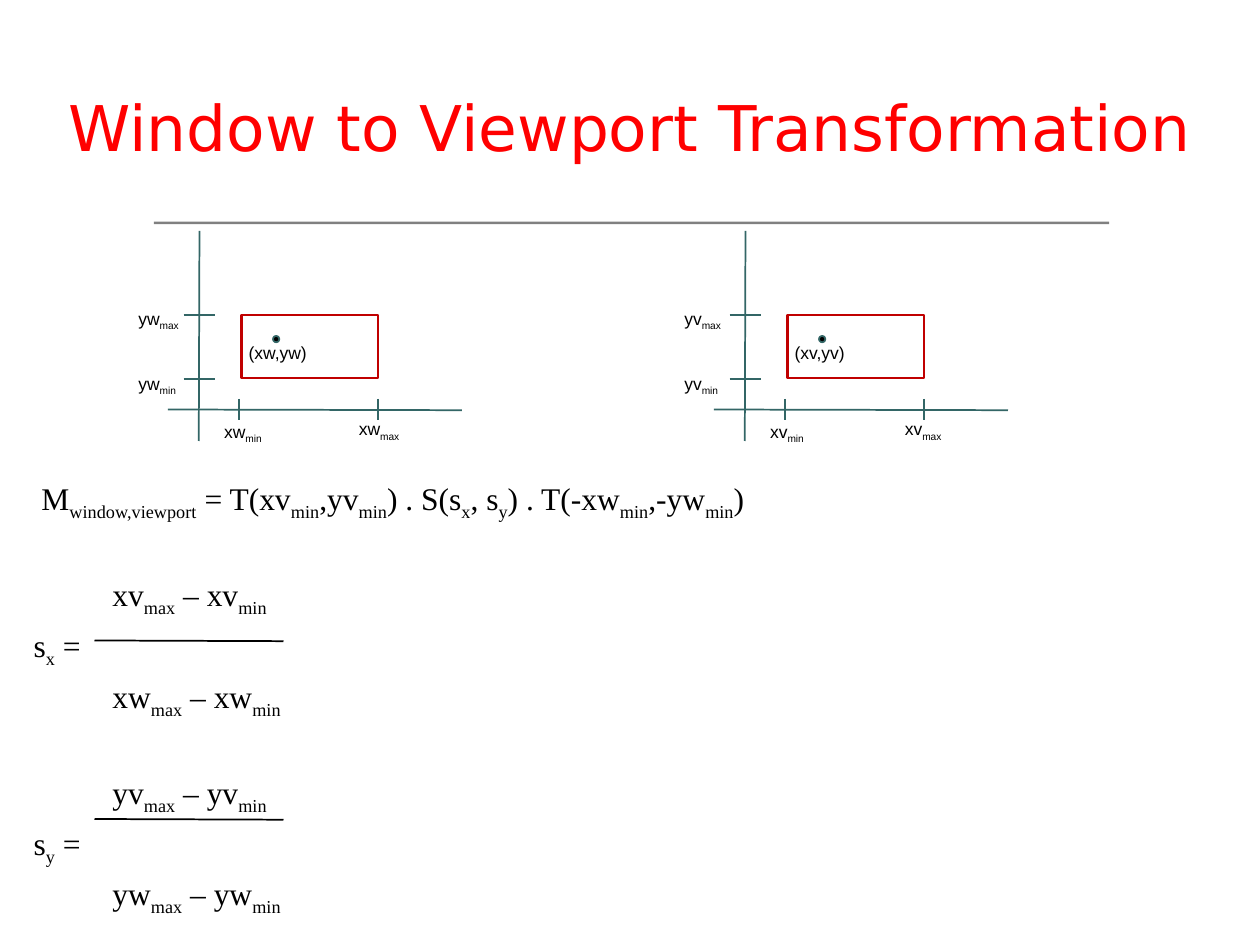
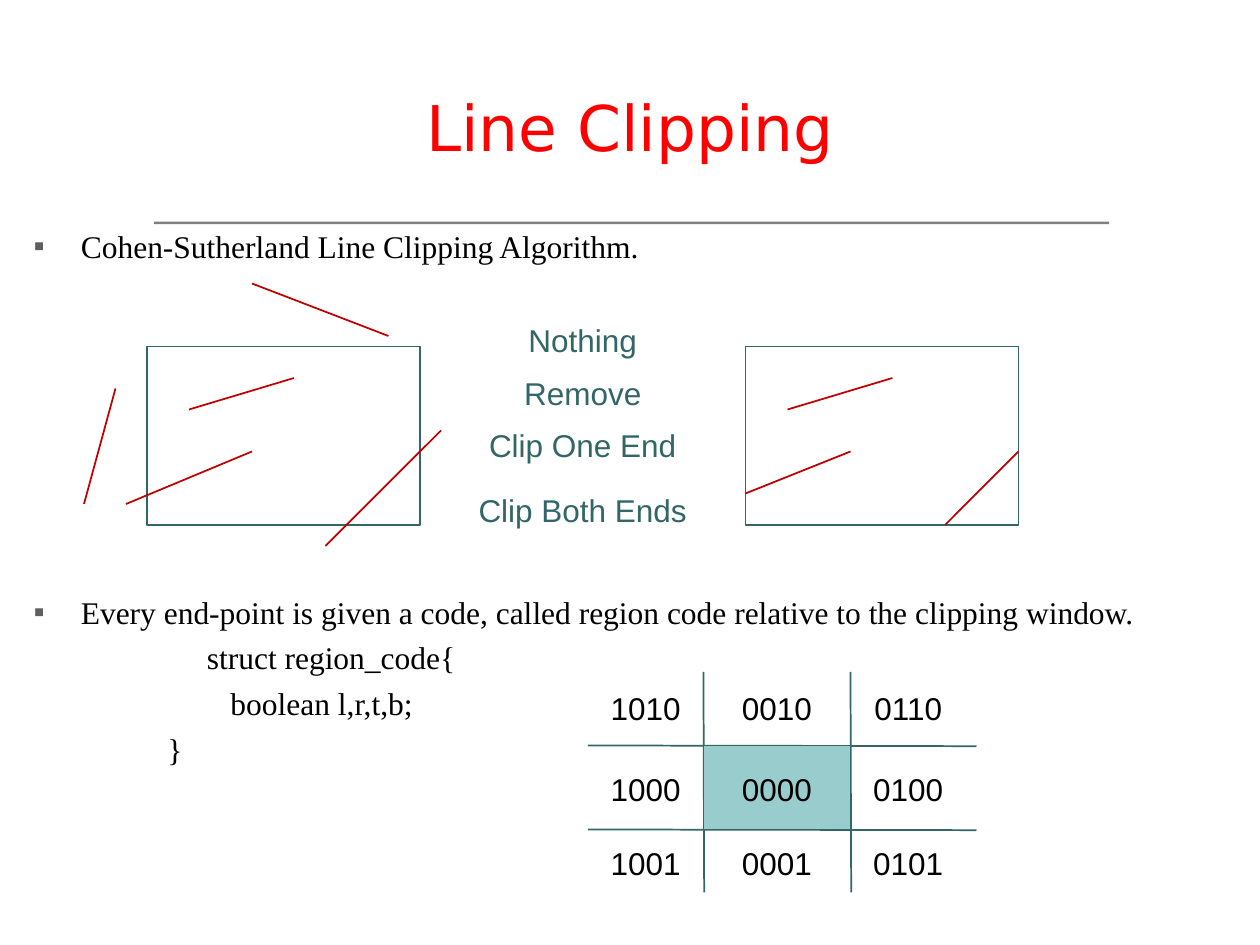
from lxml.etree import SubElement
from pptx import Presentation
from pptx.dml.color import RGBColor
from pptx.enum.shapes import MSO_CONNECTOR, MSO_SHAPE
from pptx.enum.text import MSO_ANCHOR, MSO_AUTO_SIZE, PP_ALIGN
from pptx.oxml.ns import qn
from pptx.util import Pt

RED = RGBColor(0xFF, 0x00, 0x00)
CRIMSON = RGBColor(0xC0, 0x00, 0x00)
TEAL = RGBColor(0x33, 0x66, 0x66)
PALE_TEAL = RGBColor(0x99, 0xCC, 0xCC)
GRAY = RGBColor(0x80, 0x80, 0x80)
BLACK = RGBColor(0x00, 0x00, 0x00)
BULLET_GRAY = "5F5F5F"

TITLE_FONT = "DejaVu Sans"
BODY_FONT = "Times New Roman"
LABEL_FONT = "Arial"
LINE_GAP = 4.5
SLANT = 0.4


class Deck:
    def __init__(self):
        self.presentation = Presentation()
        self.presentation.slide_width = Pt(720)
        self.presentation.slide_height = Pt(540)
        self.slide = None

    def add_slide(self, heading):
        layout = self.presentation.slide_layouts[1]
        self.slide = self.presentation.slides.add_slide(layout)
        self.box(MSO_SHAPE.RECTANGLE, 88, 126.7, 545.8, 1.4, fill=GRAY)
        title = self.slide.shapes.title
        self.place(title, 0, 36, 720, 72)
        frame = title.text_frame
        frame.auto_size = MSO_AUTO_SIZE.NONE
        frame.vertical_anchor = MSO_ANCHOR.MIDDLE
        frame.paragraphs[0].alignment = PP_ALIGN.CENTER
        self.runs(frame.paragraphs[0], [heading], TITLE_FONT, 36, RED)

    def place(self, shape, left, top, width, height):
        shape.left, shape.top = Pt(left), Pt(top)
        shape.width, shape.height = Pt(width), Pt(height)

    def runs(self, paragraph, parts, font, size, color):
        for index, part in enumerate(parts):
            run = paragraph.add_run()
            run.text = part
            run.font.name = font
            run.font.size = Pt(size)
            run.font.color.rgb = color
            if index % 2:
                run._r.get_or_add_rPr().set("baseline", "-25000")

    def body(self, left, top, width, height, lines):
        body = self.slide.placeholders[1]
        self.place(body, left, top, width, height)
        frame = body.text_frame
        frame.auto_size = MSO_AUTO_SIZE.NONE
        for index, (parts, indent, gap, bulleted) in enumerate(lines):
            paragraph = frame.add_paragraph() if index else frame.paragraphs[0]
            self.bullet(paragraph, indent, bulleted)
            paragraph.alignment = PP_ALIGN.JUSTIFY
            paragraph.space_before = Pt(gap if index else 0)
            self.runs(paragraph, parts, BODY_FONT, 18, BLACK)

    def bullet(self, paragraph, indent, bulleted):
        properties = paragraph._p.get_or_add_pPr()
        properties.set("marL", str(Pt(indent)))
        properties.set("indent", str(Pt(-indent if bulleted else 0)))
        if bulleted:
            color = SubElement(properties, qn("a:buClr"))
            SubElement(color, qn("a:srgbClr")).set("val", BULLET_GRAY)
            SubElement(properties, qn("a:buFont")).set("typeface", LABEL_FONT)
            SubElement(properties, qn("a:buChar")).set("char", "▪")
        else:
            SubElement(properties, qn("a:buNone"))

    def label(self, parts, left, top, width, height, size=18, color=BLACK,
              align=PP_ALIGN.CENTER):
        label = self.slide.shapes.add_textbox(Pt(left), Pt(top), Pt(width), Pt(height))
        label.text_frame.word_wrap = True
        paragraph = label.text_frame.paragraphs[0]
        paragraph.alignment = align
        self.runs(paragraph, parts, LABEL_FONT, size, color)

    def box(self, kind, left, top, width, height, fill=None, line=None, weight=1):
        box = self.slide.shapes.add_shape(kind, Pt(left), Pt(top), Pt(width), Pt(height))
        box.shadow.inherit = False
        if fill is None:
            box.fill.background()
        else:
            box.fill.solid()
            box.fill.fore_color.rgb = fill
        if line is None:
            box.line.fill.background()
        else:
            box.line.color.rgb = line
            box.line.width = Pt(weight)

    def line(self, x1, y1, x2, y2, color=TEAL):
        line = self.slide.shapes.add_connector(
            MSO_CONNECTOR.STRAIGHT, Pt(x1), Pt(y1), Pt(x2), Pt(y2))
        line.line.color.rgb = color
        line.line.width = Pt(1)
        SubElement(line._element.spPr, qn("a:effectLst"))


def draw_axes(deck, x, suffix):
    deck.line(x + 114, 132, x + 114 - SLANT, 252)
    deck.line(x + 96, 234, x + 264, 234 + SLANT)
    deck.box(MSO_SHAPE.RECTANGLE, x + 138, 180, 78, 36, line=CRIMSON, weight=1.5)
    for tick in (136.4, 216):
        deck.line(x + tick, 228, x + tick, 240)
    for tick in (180, 216.5):
        deck.line(x + 105, tick, x + 123, tick)
    for axis, bound, left, top in (("x", "min", 121, 237), ("x", "max", 198, 235.5),
                                   ("y", "min", 72, 209.5), ("y", "max", 72, 172.5)):
        deck.label([axis + suffix, bound], x + left, top, 42, 21,
                   size=10, align=PP_ALIGN.LEFT)
    deck.box(MSO_SHAPE.OVAL, x + 156, 192, 3.6, 3.6, fill=BLACK, line=TEAL)
    deck.label([f"(x{suffix},y{suffix})"], x + 135, 192, 60, 19.5,
               size=10, align=PP_ALIGN.LEFT)


def scale_lines(axis):
    def difference(name):
        return [name, "max", f" – {name}", "min"]

    return [(difference(axis + "v"), 45, 30.4, False),
            (["s", axis, " ="], 0, LINE_GAP, False),
            (difference(axis + "w"), 45, LINE_GAP, False)]


def build_viewport_slide(deck):
    deck.add_slide("Window to Viewport Transformation")
    matrix = ["M", "window,viewport", " = T(xv", "min", ",yv", "min", ") . S(s", "x",
              ", s", "y", ") . T(-xw", "min", ",-yw", "min", ")"]
    deck.body(12, 270, 624, 258,
              [(matrix, 4.5, 0, False)] + scale_lines("x") + scale_lines("y"))
    draw_axes(deck, 0, "w")
    draw_axes(deck, 312, "v")
    for fraction_bar in (366, 468):
        deck.line(54, fraction_bar, 162, fraction_bar + SLANT, BLACK)


def draw_region_codes(deck):
    for x in (402, 486):
        deck.line(x, 384, x + SLANT, 510)
    for y in (426, 474):
        deck.line(336, y, 558, y + SLANT)
    deck.box(MSO_SHAPE.RECTANGLE, 402, 426, 84, 48, fill=PALE_TEAL, line=TEAL)
    regions = ((390, ("1010", "0010", "0110")),
               (436.5, ("1000", "0000", "0100")),
               (478.5, ("1001", "0001", "0101")))
    for top, codes in regions:
        for column, code in enumerate(codes):
            deck.label([code], 336 + 75 * column, top, 66, 29)


def build_clipping_slide(deck):
    deck.add_slide("Line Clipping")
    deck.body(12, 126, 696, 402, [
        (["Cohen-Sutherland Line Clipping Algorithm."], 27, 0, True),
        (["Every end-point is given a code, called region code relative to "
          "the clipping window."], 27, 187.4, True),
        (["struct region_code{"], 99, LINE_GAP, False),
        (["boolean l,r,t,b;"], 112.5, LINE_GAP, False),
        (["}"], 76.5, LINE_GAP, False),
    ])
    for window_left in (84, 426):
        deck.box(MSO_SHAPE.RECTANGLE, window_left, 198, 156, 102, line=TEAL)
    unclipped = ((66, 222, 48, 288), (186, 312, 252, 246), (144, 162, 222, 192),
                 (108, 234, 168, 216), (72, 288, 144, 258))
    clipped = ((540, 300, 582, 258), (450, 234, 510, 216), (426, 282, 486, 258))
    for segment in unclipped + clipped:
        deck.line(*segment, CRIMSON)
    for action, top in (("Nothing", 180), ("Remove", 210),
                        ("Clip One End", 240), ("Clip Both Ends", 277)):
        deck.label([action], 264, top, 138, 29, color=TEAL)
    draw_region_codes(deck)


def main():
    deck = Deck()
    build_viewport_slide(deck)
    build_clipping_slide(deck)
    deck.presentation.save("out.pptx")


if __name__ == "__main__":
    main()
